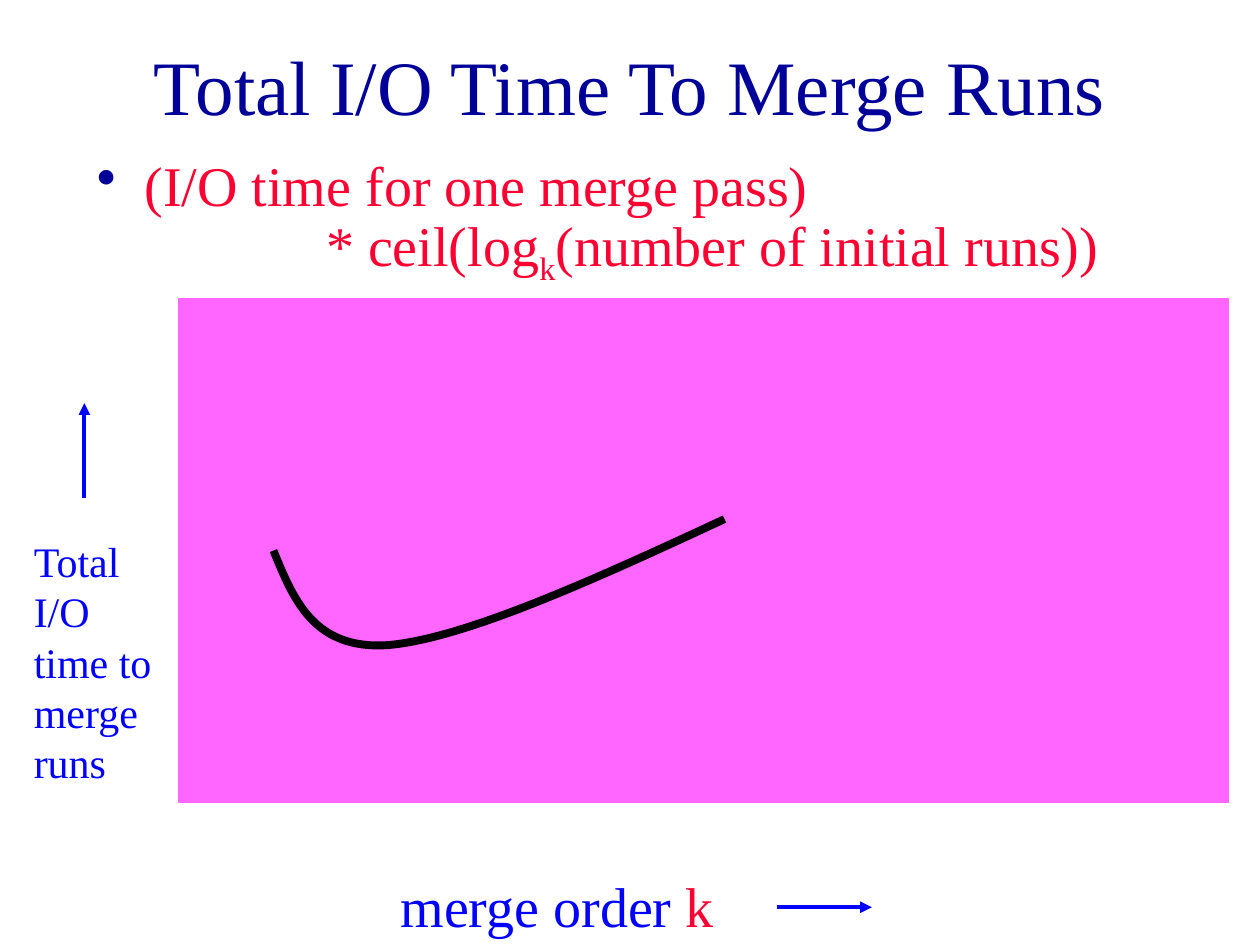
"""Build the slide on total I/O time against merge order."""
from dataclasses import dataclass

import lxml.etree
import pptx
import pptx.dml.color
import pptx.enum.shapes
import pptx.enum.text
import pptx.oxml
import pptx.oxml.ns
import pptx.util

Inches = pptx.util.Inches
Pt = pptx.util.Pt
qn = pptx.oxml.ns.qn

FONT = "Times New Roman"
COLORS = {
    "title": "000099",
    "formula": "FF0033",
    "axis": "0000FF",
    "plot": "FF66FF",
    "curve": "000000",
}


@dataclass
class Run:
    text: str
    color: str
    subscript: bool = False


@dataclass
class Line:
    runs: list[Run]
    space_before: float = 0
    spacing: float = 1.0
    margin: float = 0
    bullet: bool = False


@dataclass
class Label:
    box: tuple[float, float, float, float]
    size: int
    lines: list[Line]
    centered: bool = False


@dataclass
class Arrow:
    start: tuple[float, float]
    end: tuple[float, float]


LABELS = [
    Label((0.75, 0.17, 8.5, 1), 44,
          [Line([Run("Total I/O Time To Merge Runs", "title")])], centered=True),
    Label((0.17, 4.2, 1.17, 2.1), 24,
          [Line([Run("Total I/O time to merge runs", "axis")], space_before=15)]),
    Label((3.08, 6.87, 2.92, 0.64), 32,
          [Line([Run("merge order ", "axis"), Run("k", "formula")], space_before=20)]),
    Label((0.67, 1.25, 8.5, 1.08), 32, [
        Line([Run("(I/O time for one merge pass)", "formula")],
             space_before=8, spacing=0.8, margin=0.38, bullet=True),
        Line([Run("* ceil(log", "formula"), Run("k", "formula", subscript=True),
              Run("(number of initial runs))", "formula")],
             spacing=0.8, margin=1.82),
    ]),
]
ARROWS = [Arrow((6.17, 7.2), (6.92, 7.2)), Arrow((0.67, 3.95), (0.67, 3.2))]
CURVE_POINTS = [(2.17, 4.37), (2.33, 4.76), (2.49, 5.16), (3.08, 5.12),
                (3.68, 5.07), (4.72, 4.6), (5.75, 4.12)]


def rgb(name: str) -> pptx.dml.color.RGBColor:
    """Return the named colour."""
    return pptx.dml.color.RGBColor.from_string(COLORS[name])


def add_bullet(properties, margin: float) -> None:
    """Give a paragraph a round bullet that hangs in its margin."""
    properties.set("indent", str(-Inches(margin)))
    color = lxml.etree.SubElement(properties, qn("a:buClr"))
    lxml.etree.SubElement(color, qn("a:srgbClr"), val=COLORS["title"])
    lxml.etree.SubElement(properties, qn("a:buChar"), char="•")


def add_label(slide, label: Label) -> None:
    """Add a text box with formatted lines."""
    frame = slide.shapes.add_textbox(*map(Inches, label.box)).text_frame
    frame.word_wrap = True
    if label.centered:
        frame.vertical_anchor = pptx.enum.text.MSO_ANCHOR.MIDDLE
    for index, line in enumerate(label.lines):
        paragraph = frame.add_paragraph() if index else frame.paragraphs[0]
        paragraph.space_before = Pt(line.space_before)
        paragraph.line_spacing = line.spacing
        if label.centered:
            paragraph.alignment = pptx.enum.text.PP_ALIGN.CENTER
        properties = paragraph._p.get_or_add_pPr()
        properties.set("marL", str(Inches(line.margin)))
        if line.bullet:
            add_bullet(properties, line.margin)
        for part in line.runs:
            run = paragraph.add_run()
            run.text = part.text
            run.font.name = FONT
            run.font.size = Pt(label.size)
            run.font.color.rgb = rgb(part.color)
            if part.subscript:
                run.font._element.set("baseline", "-25000")


def add_plot_area(slide) -> None:
    """Add the coloured plot background."""
    plot = slide.shapes.add_shape(
        pptx.enum.shapes.MSO_SHAPE.RECTANGLE,
        Inches(1.42), Inches(2.37), Inches(8.33), Inches(4))
    plot.shadow.inherit = False
    plot.fill.solid()
    plot.fill.fore_color.rgb = rgb("plot")
    plot.line.color.rgb = rgb("plot")
    plot.line.width = Pt(1)


def add_arrow(slide, arrow: Arrow) -> None:
    """Add an axis arrow."""
    connector = slide.shapes.add_connector(
        pptx.enum.shapes.MSO_CONNECTOR.STRAIGHT,
        *map(Inches, arrow.start + arrow.end))
    connector.line.color.rgb = rgb("axis")
    connector.line.width = Pt(2.25)
    lxml.etree.SubElement(connector.line._get_or_add_ln(), qn("a:tailEnd"), type="triangle")
    lxml.etree.SubElement(connector._element.spPr, qn("a:effectLst"))


def add_curve(slide, points: list[tuple[float, float]]) -> None:
    """Add an open curve of cubic segments through control points."""
    start, *controls = [(Inches(x), Inches(y)) for x, y in points]
    builder = slide.shapes.build_freeform(*start)
    builder.add_line_segments(controls, close=False)
    curve = builder.convert_to_shape()
    curve.shadow.inherit = False
    curve.fill.background()
    curve.line.color.rgb = rgb("curve")
    curve.line.width = Pt(4.5)
    outline = curve._element.xpath(".//a:path")[0]
    segments = outline.findall(qn("a:lnTo"))
    for first in range(0, len(segments), 3):
        cubic = lxml.etree.SubElement(outline, qn("a:cubicBezTo"))
        for segment in segments[first:first + 3]:
            cubic.append(segment[0])
            outline.remove(segment)


def main() -> None:
    """Build and save the presentation."""
    presentation = pptx.Presentation()
    presentation.slide_width = Inches(10)
    presentation.slide_height = Inches(7.5)
    slide = presentation.slides.add_slide(presentation.slide_layouts[6])
    add_plot_area(slide)
    for label in LABELS:
        add_label(slide, label)
    for arrow in ARROWS:
        add_arrow(slide, arrow)
    add_curve(slide, CURVE_POINTS)
    presentation.save("out.pptx")


if __name__ == "__main__":
    main()
